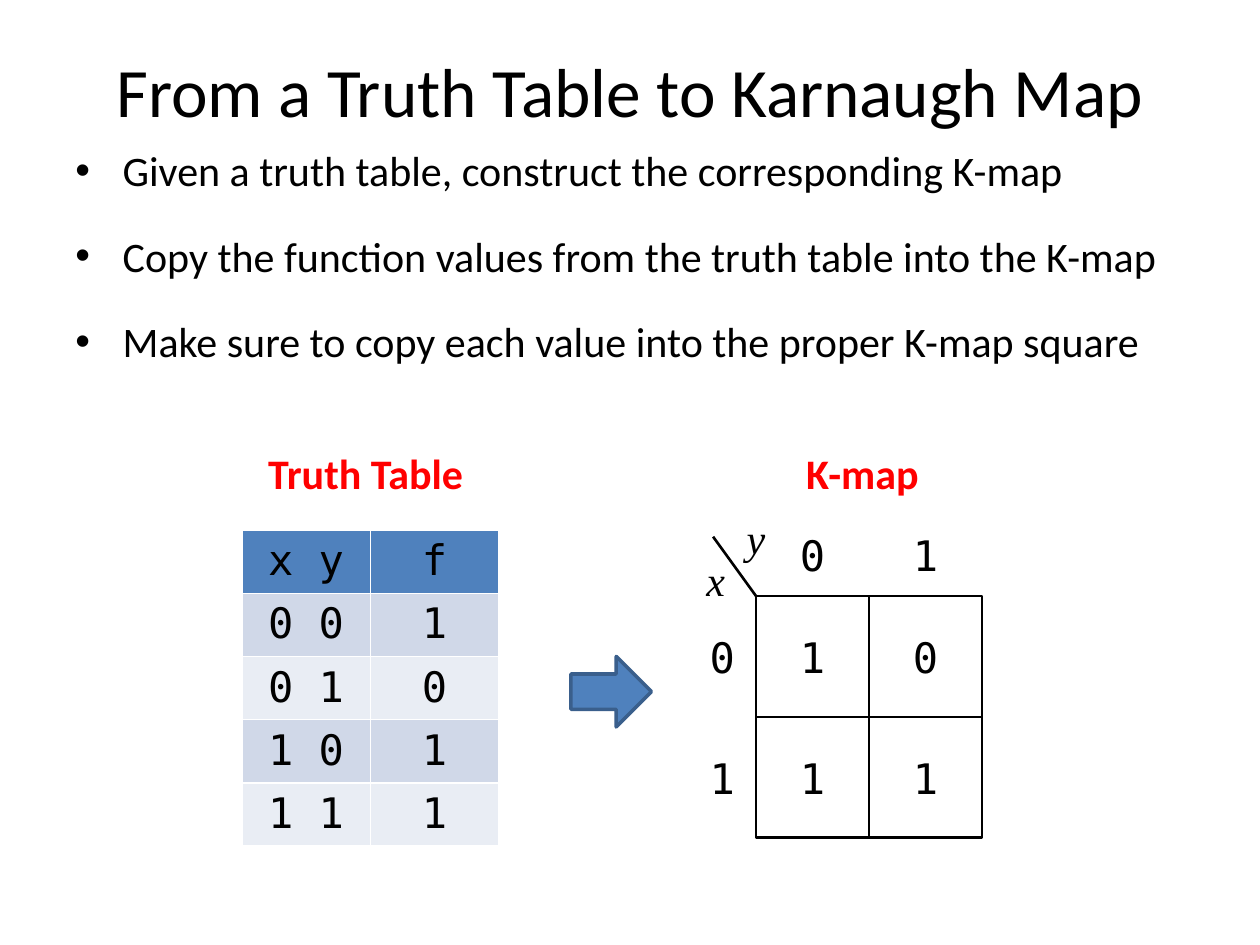
"""Build a slide that turns a truth table into a Karnaugh map."""
from lxml import etree
from pptx import Presentation
from pptx.dml.color import RGBColor
from pptx.enum.shapes import MSO_CONNECTOR, MSO_SHAPE
from pptx.enum.text import MSO_ANCHOR, PP_ALIGN
from pptx.oxml.ns import qn
from pptx.util import Pt

LEFT, CENTER = PP_ALIGN.LEFT, PP_ALIGN.CENTER
TOP, MIDDLE = MSO_ANCHOR.TOP, MSO_ANCHOR.MIDDLE
RECTANGLE, RIGHT_ARROW = MSO_SHAPE.RECTANGLE, MSO_SHAPE.RIGHT_ARROW
STRAIGHT = MSO_CONNECTOR.STRAIGHT
SANS, MONO, SERIF = "Calibri", "DejaVu Sans Mono", "Times New Roman"
COLORS = {
    "black": "000000",
    "white": "FFFFFF",
    "red": "FF0000",
    "blue": "4F81BD",
    "outline": "3A5F8C",
    "dark band": "D0D8E8",
    "light band": "E9EDF4",
}


def rgb(name):
    return RGBColor.from_string(COLORS[name])


def write(frame, text, font=SANS, size=24, color="black", bold=False, italic=False,
          align=CENTER, anchor=MIDDLE, margins=(0, 0), wrap=True, bullet=False, gap=0):
    frame.word_wrap = wrap
    frame.vertical_anchor = anchor
    frame.margin_left = frame.margin_right = Pt(margins[0])
    frame.margin_top = frame.margin_bottom = Pt(margins[1])
    for index, line in enumerate(text.split("\n")):
        paragraph = frame.add_paragraph() if index else frame.paragraphs[0]
        paragraph.alignment = align
        if index and gap:
            paragraph.space_before = Pt(gap)
        if bullet:
            properties = paragraph._p.get_or_add_pPr()
            properties.set("marL", str(Pt(27)))
            properties.set("indent", str(Pt(-27)))
            etree.SubElement(properties, qn("a:buFont"), typeface="Arial")
            etree.SubElement(properties, qn("a:buChar"), char="•")
        run = paragraph.add_run()
        run.text = line
        run.font.name = font
        run.font.size = Pt(size)
        run.font.bold = bold
        run.font.italic = italic
        run.font.color.rgb = rgb(color)


presentation = Presentation()
presentation.slide_width, presentation.slide_height = Pt(720), Pt(540)
slide = presentation.slides.add_slide(presentation.slide_layouts[6])
shapes = slide.shapes

title = shapes.add_textbox(Pt(36), Pt(6), Pt(648), Pt(90))
write(title.text_frame, "From a Truth Table to Karnaugh Map", size=39.6, margins=(7.2, 3.6))

steps = [
    "Given a truth table, construct the corresponding K-map",
    "Copy the function values from the truth table into the K-map",
    "Make sure to copy each value into the proper K-map square",
]
body = shapes.add_textbox(Pt(36), Pt(79.2), Pt(648), Pt(163.4))
write(body.text_frame, "\n".join(steps), align=LEFT, anchor=TOP, margins=(7.2, 3.6),
      bullet=True, gap=20)

for heading, left, width in [("Truth Table", 146.2, 127.4), ("K-map", 453.6, 82.8)]:
    box = shapes.add_textbox(Pt(left), Pt(252), Pt(width), Pt(36))
    write(box.text_frame, heading, color="red", bold=True, align=LEFT, anchor=TOP,
          margins=(7.2, 3.6), wrap=False)

truth_rows = [("x y", "f"), ("0 0", "1"), ("0 1", "0"), ("1 0", "1"), ("1 1", "1")]
row_height = 35.1
table = shapes.add_table(len(truth_rows), 2, Pt(138.2), Pt(303.2), Pt(146.8),
                         Pt(row_height * len(truth_rows))).table
for column in table.columns:
    column.width = Pt(73.4)
for row_index, values in enumerate(truth_rows):
    table.rows[row_index].height = Pt(row_height)
    band = "dark band" if row_index % 2 else "light band"
    for column_index, value in enumerate(values):
        cell = table.cell(row_index, column_index)
        cell_properties = cell._tc.get_or_add_tcPr()
        for side in ("a:lnL", "a:lnR", "a:lnT", "a:lnB"):
            border = etree.SubElement(cell_properties, qn(side), w=str(Pt(1)))
            border_fill = etree.SubElement(border, qn("a:solidFill"))
            etree.SubElement(border_fill, qn("a:srgbClr"), val=COLORS["white"])
        cell.fill.solid()
        cell.fill.fore_color.rgb = rgb(band if row_index else "blue")
        cell.margin_left = cell.margin_right = Pt(7.2)
        cell.margin_top = cell.margin_bottom = Pt(3.6)
        write(cell.text_frame, value, font=MONO, margins=(7.2, 3.6))

map_left, map_top = 432, 340.6
square_width, square_height = 64.6, 69.1
label_width, label_height = 38.6, 47.5
for row_index, values in enumerate([("1", "0"), ("1", "1")]):
    square_top = map_top + row_index * square_height
    for column_index, value in enumerate(values):
        square = shapes.add_shape(RECTANGLE, Pt(map_left + column_index * square_width),
                                  Pt(square_top), Pt(square_width), Pt(square_height))
        square.shadow.inherit = False
        square.fill.background()
        square.line.color.rgb = rgb("black")
        square.line.width = Pt(1.5)
        write(square.text_frame, value, font=MONO)

labels = []
for index in range(2):
    labels.append((str(index), map_left - label_width, map_top + index * square_height,
                   label_width, square_height, MONO))
    labels.append((str(index), map_left + index * square_width, map_top - label_height,
                   square_width, label_height, MONO))
labels += [("x", 401.8, 313.2, 14.4, 36, SERIF), ("y", 424.8, 289.4, 14.4, 36, SERIF)]
for text, left, top, width, height, font in labels:
    label = shapes.add_textbox(Pt(left), Pt(top), Pt(width), Pt(height))
    write(label.text_frame, text, font=font, italic=font == SERIF)

diagonal = shapes.add_connector(STRAIGHT, Pt(407.5), Pt(306.7), Pt(map_left), Pt(map_top))
diagonal.line.color.rgb = rgb("black")
diagonal.line.width = Pt(1.5)
etree.SubElement(diagonal._element.spPr, qn("a:effectLst"))

arrow = shapes.add_shape(RIGHT_ARROW, Pt(326.2), Pt(375.1), Pt(46.1), Pt(40.3))
arrow.shadow.inherit = False
arrow.fill.solid()
arrow.fill.fore_color.rgb = rgb("blue")
arrow.line.color.rgb = rgb("outline")
arrow.line.width = Pt(2)

presentation.save("out.pptx")
